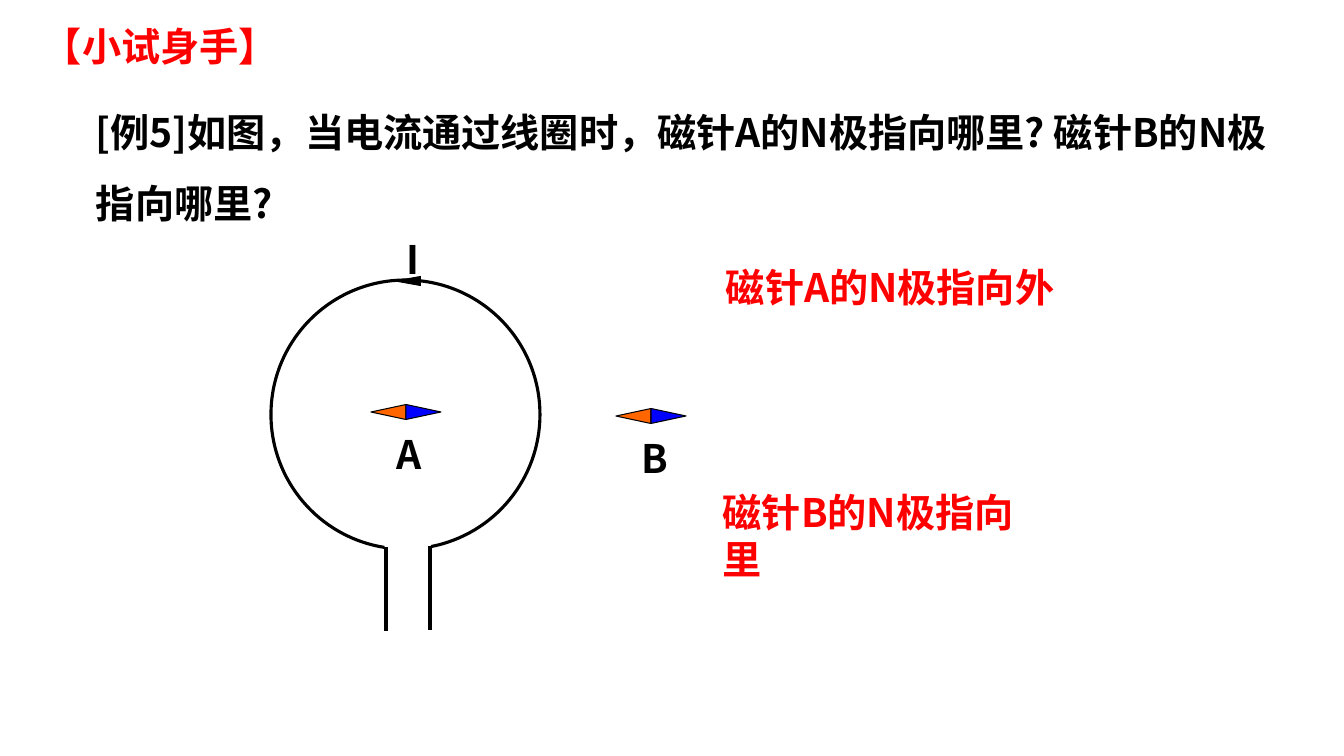
import math

import pptx
import pptx.dml.color
import pptx.enum.shapes
import pptx.enum.text
import pptx.oxml.ns
import pptx.util
from lxml import etree

PX = 914400 / 100.8
FONT = "Noto Sans CJK SC"
BLACK, RED, ORANGE, BLUE = "000000", "FF0000", "FF6600", "0000FF"


def px(length):
    """Turn pixels into EMU."""
    return round(length * PX)


def color(hex_code):
    """Turn a hex string into a colour."""
    return pptx.dml.color.RGBColor.from_string(hex_code)


def set_line(line, width):
    """Give a line the black ink of the diagram."""
    line.color.rgb = color(BLACK)
    line.width = pptx.util.Pt(width)


def add_words(slide, box, words, ink=BLACK, spacing=None):
    """Place one bold paragraph in a box."""
    frame = slide.shapes.add_textbox(*map(px, box)).text_frame
    frame.word_wrap = True
    frame.auto_size = pptx.enum.text.MSO_AUTO_SIZE.SHAPE_TO_FIT_TEXT
    paragraph = frame.paragraphs[0]
    if spacing:
        paragraph.line_spacing = spacing
    run = paragraph.add_run()
    run.text = words
    run.font.size = pptx.util.Pt(28)
    run.font.bold = True
    run.font.name = FONT
    run.font.color.rgb = color(ink)
    east_asian = etree.SubElement(run.font._element, pptx.oxml.ns.qn("a:ea"))
    east_asian.set("typeface", FONT)


def add_point(slide, center_x, center_y, base, length, rotation, fill):
    """Place a sideways triangle around its centre."""
    triangle = slide.shapes.add_shape(
        pptx.enum.shapes.MSO_SHAPE.ISOSCELES_TRIANGLE,
        px(center_x - base / 2), px(center_y - length / 2), px(base), px(length))
    triangle.rotation = rotation
    triangle.shadow.inherit = False
    triangle.fill.solid()
    triangle.fill.fore_color.rgb = color(fill)
    set_line(triangle.line, 0.75)


def add_needle(slide, x, y, letter):
    """Place a two-coloured magnetic needle with its letter below."""
    half = 35
    add_point(slide, x - half / 2, y, 15, half, 270, ORANGE)
    add_point(slide, x + half / 2, y, 15, half, 90, BLUE)
    add_words(slide, (x - 19, y + 13, 50, 57), letter)


def add_lead(slide, x, top, bottom):
    """Draw one straight wire below the coil."""
    lead = slide.shapes.add_connector(
        pptx.enum.shapes.MSO_CONNECTOR.STRAIGHT, px(x), px(top), px(x), px(bottom))
    set_line(lead.line, 2.25)
    etree.SubElement(lead._element.spPr, pptx.oxml.ns.qn("a:effectLst"))


def add_loop(slide, left, top, size):
    """Draw the open circle of wire as four smooth curves."""
    radius = size / 2
    angles = [math.radians(angle) for angle in (99, 180, 270, 360, 439)]

    def rim_point(angle, reach=0):
        """Find a rim point, moved along its tangent by a share of the radius."""
        return (px(left + radius * (1 + math.cos(angle) - reach * math.sin(angle))),
                px(top + radius * (1 + math.sin(angle) + reach * math.cos(angle))))

    rim = [rim_point(angle) for angle in angles]
    builder = slide.shapes.build_freeform(*rim[0])
    builder.add_line_segments(rim[1:], close=False)
    loop = builder.convert_to_shape()
    segments = loop._element.findall(".//" + pptx.oxml.ns.qn("a:lnTo"))
    for segment, start, end in zip(segments, angles, angles[1:]):
        reach = 4 / 3 * math.tan((end - start) / 4)
        curve = etree.Element(pptx.oxml.ns.qn("a:cubicBezTo"))
        for x, y in (rim_point(start, reach), rim_point(end, -reach), rim_point(end)):
            etree.SubElement(curve, pptx.oxml.ns.qn("a:pt"),
                             x=str(x - loop.left), y=str(y - loop.top))
        segment.getparent().replace(segment, curve)
    loop.shadow.inherit = False
    loop.fill.background()
    set_line(loop.line, 2.25)


def add_coil(slide, left, top, size):
    """Place the loop, its leads and its current arrow in a square box."""
    add_loop(slide, left, top, size)
    add_lead(slide, left + 115, top + size - 2, top + 351)
    add_lead(slide, left + 159, top + size - 3, top + 350)
    add_point(slide, left + 137, top + 1, 9, 25, 270, BLACK)
    add_words(slide, (left + 126, top - 50, 50, 57), "I")


def add_diagram(slide, left, top):
    """Place the coil with needle A inside and needle B outside."""
    add_coil(slide, left, top, 269)
    add_needle(slide, left + 135, top + 132, "A")
    add_needle(slide, left + 380, top + 136, "B")


def add_answers(slide, left, top):
    """Place the two answers beside the diagram."""
    add_words(slide, (left, top, 349, 57), "磁针A的N极指向外", RED)
    add_words(slide, (left - 3, top + 225, 349, 57), "磁针B的N极指向里", RED)


def main():
    """Build the exercise slide."""
    deck = pptx.Presentation()
    deck.slide_width, deck.slide_height = px(1344), px(756)
    slide = deck.slides.add_slide(deck.slide_layouts[6])
    add_words(slide, (86, 80, 1213, 152),
              "[例5]如图，当电流通过线圈时，磁针A的N极指向哪里? 磁针B的N极指向哪里?",
              spacing=1.5)
    add_diagram(slide, 271, 280)
    add_answers(slide, 716, 258)
    add_words(slide, (33, 17, 294, 57), "【小试身手】", RED)
    deck.save("out.pptx")


if __name__ == "__main__":
    main()
